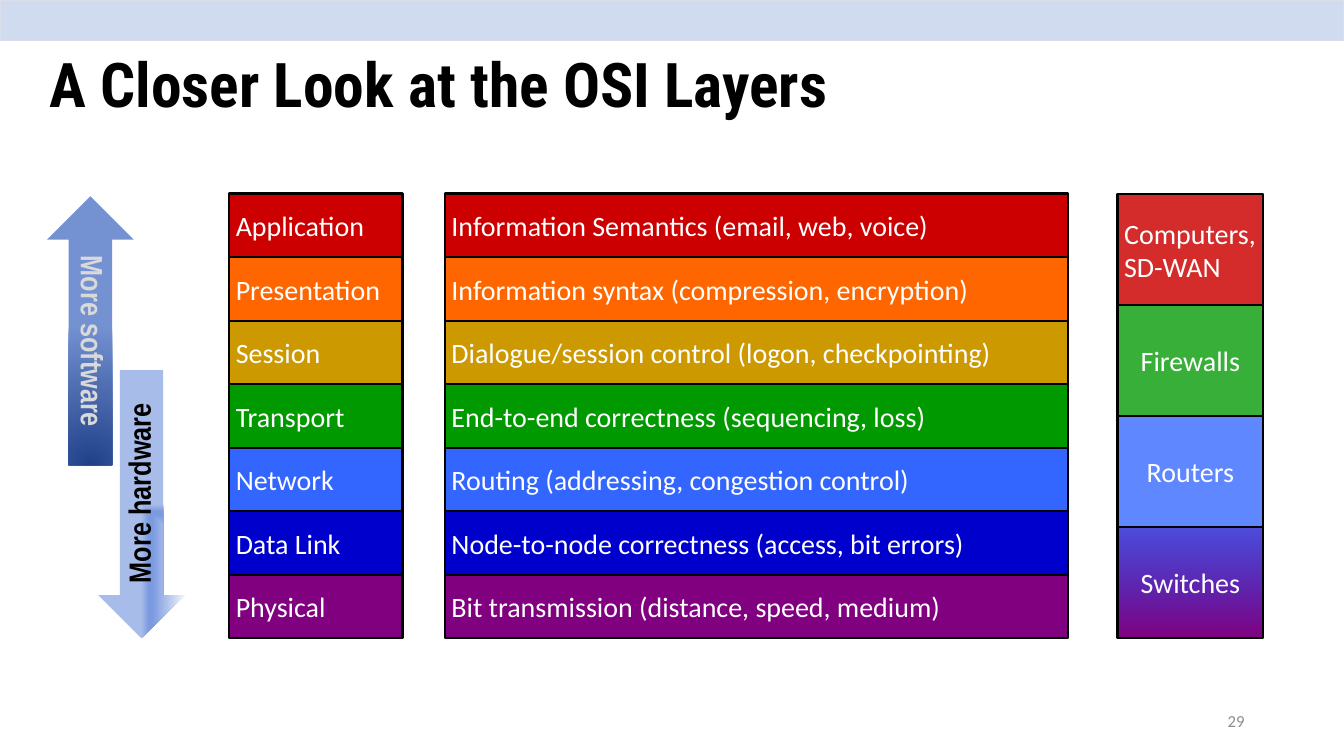
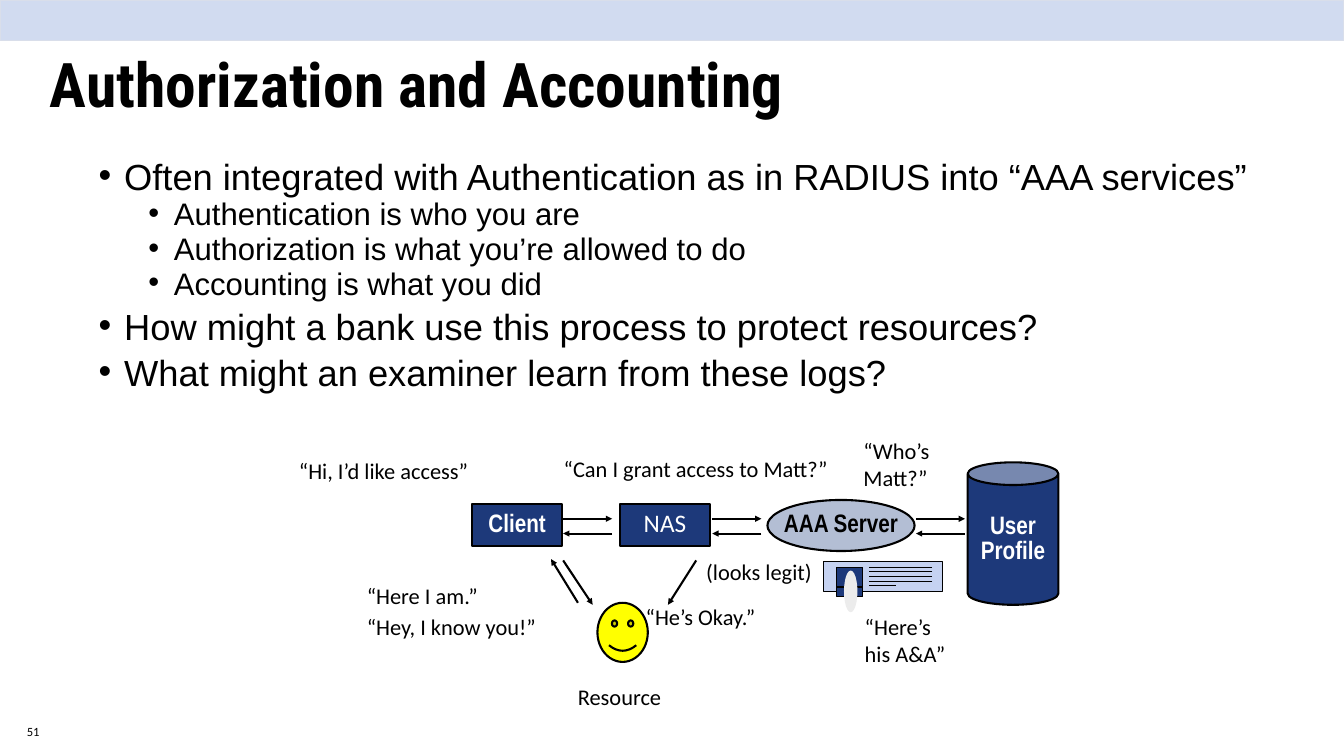
from lxml import etree
from pptx import Presentation
from pptx.dml.color import RGBColor
from pptx.enum.shapes import MSO_CONNECTOR, MSO_SHAPE
from pptx.enum.text import MSO_ANCHOR, MSO_AUTO_SIZE, PP_ALIGN
from pptx.oxml import parse_xml
from pptx.oxml.ns import nsdecls, qn
from pptx.util import Inches, Pt

RECT, OVAL, CAN = MSO_SHAPE.RECTANGLE, MSO_SHAPE.OVAL, MSO_SHAPE.CAN
UP_ARROW, SMILEY = MSO_SHAPE.UP_ARROW, MSO_SHAPE.SMILEY_FACE
STRAIGHT = MSO_CONNECTOR.STRAIGHT
LEFT, CENTER, RIGHT = PP_ALIGN.LEFT, PP_ALIGN.CENTER, PP_ALIGN.RIGHT
TOP, MIDDLE = MSO_ANCHOR.TOP, MSO_ANCHOR.MIDDLE
NO_AUTOFIT = MSO_AUTO_SIZE.NONE

BLACK, WHITE, NAVY = "000000", "FFFFFF", "1D397A"
WIDE_INSETS = (0.15, 0.07)
LABEL = dict(size=27, font="Arial Narrow", bold=True, align=CENTER, spacing=0.85)

LAYERS = [
    ("Application", "Information Semantics (email, web, voice)", "CC0000"),
    ("Presentation", "Information syntax (compression, encryption)", "FF6600"),
    ("Session", "Dialogue/session control (logon, checkpointing)", "CC9900"),
    ("Transport", "End-to-end correctness (sequencing, loss)", "009900"),
    ("Network", "Routing (addressing, congestion control)", "3366FF"),
    ("Data Link", "Node-to-node correctness (access, bit errors)", "0000CC"),
    ("Physical", "Bit transmission (distance, speed, medium)", "800080"),
]
SWITCH_FADE = dict(stops=[(0, "0000CC", 70), (100, "800080", 100)])
DEVICES = [
    ("Computers,\nSD-WAN", "CC0000", 83, LEFT),
    ("Firewalls", "009900", 78, CENTER),
    ("Routers", "3366FF", 78, CENTER),
    ("Switches", SWITCH_FADE, 100, CENTER),
]
SOFTWARE_FADE = dict(stops=[(0, "204089", 100), (100, "7492D2", 100)],
                     shade="circle", focus=(50, 130, 50, -30))
HARDWARE_FADE = dict(stops=[(0, "F0F4FC", 100), (74, "7C9AE0", 100),
                            (83, "7C9AE0", 100), (100, "A8BCEA", 100)],
                     shade="rect", focus=(100, 100, 0, 0))
POINTS = [
    (0, "Often integrated with Authentication as in RADIUS into “AAA services”"),
    (1, "Authentication is who you are"),
    (1, "Authorization is what you’re allowed to do"),
    (1, "Accounting is what you did"),
    (0, "How might a bank use this process to protect resources?"),
    (0, "What might an examiner learn from these logs?"),
]
REMARKS = [
    ("“Hi, I’d like access”", 4.35, 6.75, 4.87, 0.5),
    ("“Can I grant access to Matt?”", 8.29, 6.73, 4.87, 0.5),
    ("“Who’s\nMatt?”", 12.75, 6.46, 1.5, 0.91),
    ("“He’s Okay.”", 9.51, 8.93, 4.19, 0.5),
    ("“Here I am.”", 5.36, 8.61, 4.19, 0.5),
    ("“Hey, I know you!”", 5.36, 9.08, 4.19, 0.5),
    ("(looks legit)", 10.41, 8.26, 2.61, 0.5),
    ("“Here’s his A&A”", 12.77, 9.08, 1.5, 0.91),
    ("Resource", 8.5, 10.11, 1.91, 0.5),
]


def rgb(value):
    return RGBColor.from_string(value)


def format_text(paragraph, text, *, size=24, font="Calibri", color=BLACK,
                bold=False, align=LEFT, spacing=None, before=0):
    paragraph.text = text
    paragraph.alignment = align
    paragraph.space_before = Pt(before)
    if spacing:
        paragraph.line_spacing = spacing
    for run in paragraph.runs:
        run.font.size = Pt(size)
        run.font.name = font
        run.font.bold = bold
        run.font.color.rgb = rgb(color)


def gradient(stops, shade=None, focus=None):
    marks = "".join(
        f'<a:gs pos="{pos * 1000}"><a:srgbClr val="{color}">'
        f'<a:alpha val="{alpha * 1000}"/></a:srgbClr></a:gs>'
        for pos, color, alpha in stops)
    if shade:
        left, top, right, bottom = (side * 1000 for side in focus)
        course = (f'<a:path path="{shade}"><a:fillToRect l="{left}" t="{top}" '
                  f'r="{right}" b="{bottom}"/></a:path>')
    else:
        course = '<a:lin ang="5400000" scaled="0"/>'
    return parse_xml(f'<a:gradFill {nsdecls("a")} rotWithShape="1">'
                     f'<a:gsLst>{marks}</a:gsLst>{course}</a:gradFill>')


class Deck:
    """Holds the shared style and the current slide."""

    def __init__(self):
        self.prs = Presentation()
        self.prs.slide_width, self.prs.slide_height = Inches(20), Inches(11.25)
        self.shapes = None

    def slide(self, heading):
        self.shapes = self.prs.slides.add_slide(self.prs.slide_layouts[5]).shapes
        self.shape(RECT, 0, 0, 20, 0.6, "D1DBF0", "D9DEEA", 1)
        title = self.shapes.title
        title.left, title.top = Inches(0.64), Inches(0.22)
        title.width, title.height = Inches(17.25), Inches(2.17)
        title.text_frame.auto_size = NO_AUTOFIT
        title.text_frame.vertical_anchor = MIDDLE
        format_text(title.text_frame.paragraphs[0], heading, size=66,
                    font="Roboto Condensed", bold=True, spacing=0.9)

    def frame(self, holder, insets=(0.1, 0.05), anchor=TOP, wrap=True):
        frame = holder.text_frame
        frame.margin_left = frame.margin_right = Inches(insets[0])
        frame.margin_top = frame.margin_bottom = Inches(insets[1])
        frame.vertical_anchor = anchor
        frame.word_wrap = wrap
        return frame

    def shape(self, kind, x, y, w, h, fill, line=BLACK, weight=2.25, alpha=100):
        shape = self.shapes.add_shape(kind, Inches(x), Inches(y), Inches(w), Inches(h))
        shape.shadow.inherit = False
        shape.fill.solid()
        solid = shape.element.spPr.find(qn("a:solidFill"))
        if isinstance(fill, dict):
            shape.element.spPr.replace(solid, gradient(**fill))
        else:
            shape.fill.fore_color.rgb = rgb(fill)
            if alpha < 100:
                etree.SubElement(solid[0], qn("a:alpha"), val=str(alpha * 1000))
        if line:
            shape.line.color.rgb = rgb(line)
            shape.line.width = Pt(weight)
        else:
            shape.line.fill.background()
        return shape

    def label(self, shape, text, insets=WIDE_INSETS, anchor=MIDDLE, wrap=False, **style):
        frame = self.frame(shape, insets, anchor, wrap)
        format_text(frame.paragraphs[0], text, **style)

    def block(self, text, x, y, w, h, fill, alpha=100, wrap=True, align=LEFT):
        box = self.shape(RECT, x, y, w, h, fill, alpha=alpha)
        self.label(box, text, (0.1, 0.05), wrap=wrap, size=30, color=WHITE, align=align)

    def big_arrow(self, text, x, y, fill, color, rotation=0):
        arrow = self.shape(UP_ARROW, x, y, 1.29, 4, fill, None)
        arrow.rotation = rotation
        self.label(arrow, text, **{**LABEL, "size": 33, "color": color})
        arrow.element.txBody.bodyPr.set("vert", "vert")

    def text(self, text, x, y, w, h, insets=(0.1, 0.05), anchor=TOP, **style):
        box = self.shapes.add_textbox(Inches(x), Inches(y), Inches(w), Inches(h))
        self.label(box, text, insets, anchor, True, **style)

    def bullets(self, points, x, y, w, h):
        box = self.shapes.add_textbox(Inches(x), Inches(y), Inches(w), Inches(h))
        frame = self.frame(box)
        for index, (level, point) in enumerate(points):
            paragraph = frame.add_paragraph() if index else frame.paragraphs[0]
            paragraph.level = level
            props = paragraph._p.get_or_add_pPr()
            props.set("marL", str(Inches((0.38, 1.12)[level])))
            props.set("indent", str(Inches(-0.38)))
            etree.SubElement(props, qn("a:buFont"), typeface="Arial")
            etree.SubElement(props, qn("a:buChar"), char="•")
            format_text(paragraph, point, size=(38.9, 33.3)[level], font="Arial",
                        spacing=0.74, before=(15, 7.5)[level] if index else 0)

    def line(self, x1, y1, x2, y2, weight=2.25, arrow=False):
        line = self.shapes.add_connector(STRAIGHT, Inches(x1), Inches(y1),
                                         Inches(x2), Inches(y2))
        line.line.color.rgb = rgb(BLACK)
        line.line.width = Pt(weight)
        if arrow:
            etree.SubElement(line.line._get_or_add_ln(), qn("a:tailEnd"), type="triangle")
        etree.SubElement(line.element.spPr, qn("a:effectLst"))


def osi_slide(deck):
    deck.slide("A Closer Look at the OSI Layers")
    deck.text("29", 14.12, 10.43, 4.5, 0.6, anchor=MIDDLE,
              size=18, color="8C8C8C", align=RIGHT)
    top, bottom, height = 2.88, 9.5, 0.95
    pitch = (bottom - top - height) / (len(LAYERS) - 1)
    for row, (layer, role, color) in reversed(list(enumerate(LAYERS))):
        y = top + row * pitch
        deck.block(layer, 3.41, y, 2.58, height, color)
        deck.block(role, 6.62, y, 9.27, height, color)
    deck.big_arrow("More software", 0.7, 2.92, SOFTWARE_FADE, "D9D9D9")
    deck.big_arrow("More hardware", 1.46, 5.5, HARDWARE_FADE, BLACK, 180)
    for row, (device, fill, alpha, align) in enumerate(DEVICES):
        deck.block(device, 16.63, 2.89 + row * 1.65, 2.17, 1.65, fill, alpha, False, align)


def id_card(deck):
    deck.shape(RECT, 12.25, 8.36, 1.77, 0.44, "C5D2F1", weight=1)
    deck.shape(RECT, 12.45, 8.44, 0.39, 0.44, NAVY, weight=1)
    deck.line(12.45, 8.74, 12.84, 8.74)
    for row in range(5):
        y = 8.44 + row * 0.07
        deck.line(13.33 if row == 4 else 13.87, y, 12.93, y, 1)
    deck.shape(OVAL, 12.56, 8.49, 0.2, 0.62, "ECECEC", None)


def accounting_slide(deck):
    deck.slide("Authorization and Accounting")
    deck.bullets(POINTS, 1.37, 2.4, 17.99, 4.01)
    client = deck.shape(RECT, 7.02, 7.5, 1.35, 0.62, NAVY)
    deck.label(client, "Client", color=WHITE, **LABEL)
    nas = deck.shape(RECT, 9.22, 7.5, 1.35, 0.62, NAVY)
    deck.label(nas, "NAS", size=27, color=WHITE, align=CENTER, spacing=0.85)
    server = deck.shape(OVAL, 11.42, 7.44, 2.19, 0.76, "B3BED4")
    deck.label(server, "AAA Server", anchor=TOP, **LABEL)
    profile = deck.shape(CAN, 14.4, 6.88, 1.35, 2.12, NAVY)
    deck.label(profile, "User\nProfile", color=WHITE, **LABEL)
    deck.shape(SMILEY, 8.89, 8.97, 0.75, 0.88, "FFFF00")
    for x in (8.38, 10.6, 13.63):
        deck.line(x, 7.72, x + 0.73, 7.72, arrow=True)
        deck.line(x + 0.73, 7.94, x, 7.94, arrow=True)
    for ends in ((10.36, 8.34, 9.94, 9), (8.38, 8.34, 8.82, 9), (8.6, 8.97, 8.2, 8.32)):
        deck.line(*ends, arrow=True)
    id_card(deck)
    for remark in REMARKS:
        deck.text(*remark)
    deck.text("51", 0.25, 10.75, 1.64, 0.66, WIDE_INSETS, size=13.5, spacing=0.8)


def main():
    deck = Deck()
    osi_slide(deck)
    accounting_slide(deck)
    deck.prs.save("out.pptx")


if __name__ == "__main__":
    main()
